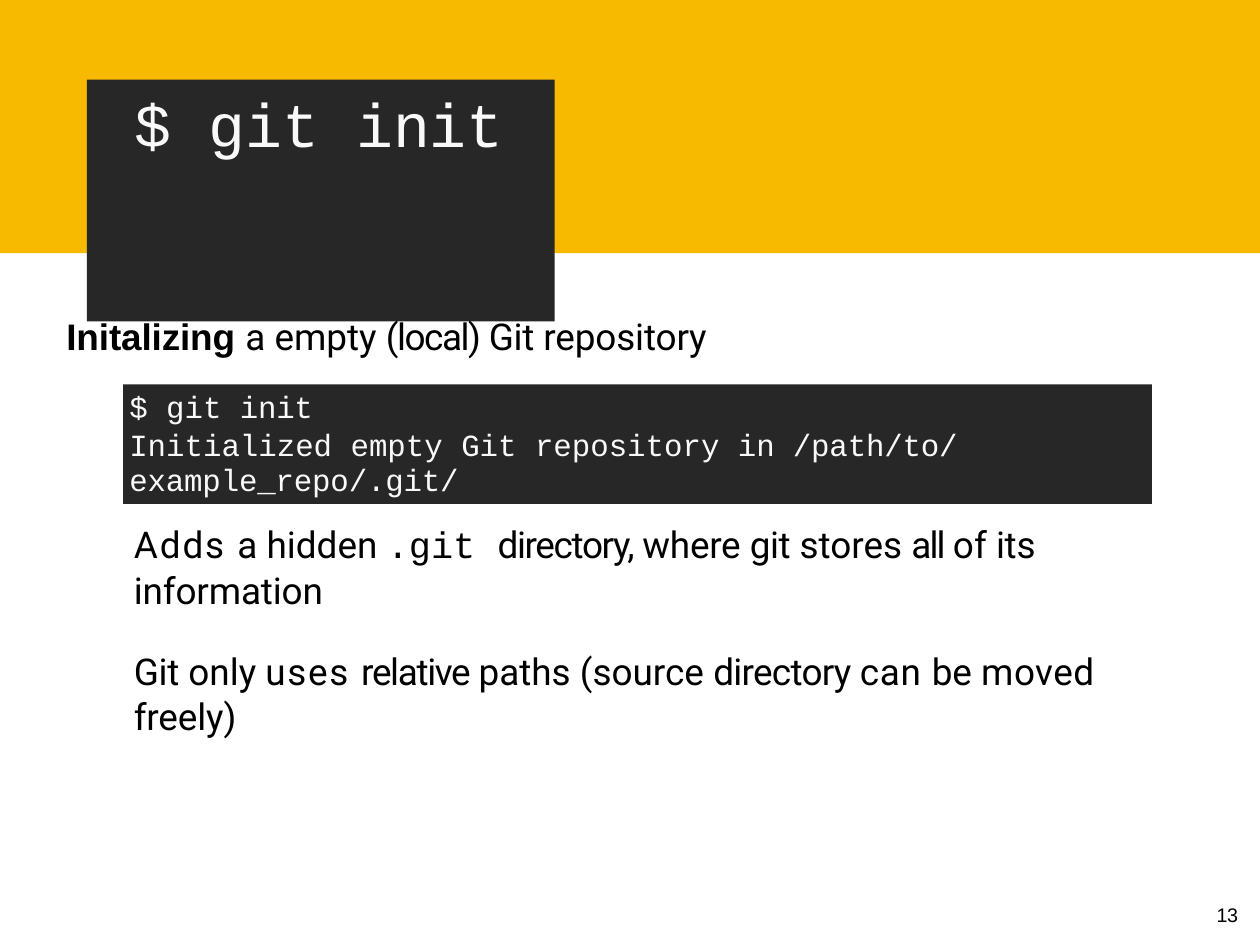
from pptx import Presentation
from pptx.dml.color import RGBColor
from pptx.enum.shapes import MSO_SHAPE as SHAPE
from pptx.enum.text import MSO_ANCHOR as ANCHOR, PP_ALIGN as ALIGN
from pptx.util import Inches, Pt

YELLOW = RGBColor(0xF8, 0xBA, 0x00)
DARK = RGBColor(0x27, 0x27, 0x27)
LIGHT = RGBColor(0xF9, 0xF9, 0xF9)
BLACK = RGBColor(0x00, 0x00, 0x00)
SANS, MONO, BODY = "Arial", "Courier New", "Roboto"

# Boxes are (left, top, width, height) in percent of the slide.
BAND = (0, 0, 100, 26.8)

# A paragraph is (space before, line spacing, runs);
# a run is (text, letter spacing in points[, own font]).
BLOCKS = [
    dict(box=(6.89, 8.43, 37.13, 25.59), fill=DARK, color=LIGHT, font=MONO,
         size=50, inset=(0.54, 0.07), paragraphs=[
             (5, None, [("$ git ", 0), ("init", -0.2)])]),
    dict(box=(96.27, 95.5, 2.39, 2.72), color=BLACK, font=SANS,
         size=16, inset=(0.04, 0.01), paragraphs=[
             (0.5, None, [("13", -0.2)])]),
    dict(box=(9.77, 40.67, 81.65, 12.65), fill=DARK, color=LIGHT, font=MONO,
         size=25, inset=(0.07, 0.05), paragraphs=[
             (3.5, Pt(29.5), [("$ git ", 0), ("init", -0.2)]),
             (1.3, Pt(29), [("Initialized empty Git repository in ", 0),
                            ("/path/to/ example_repo/.git/", -0.1)])]),
    dict(box=(5.2, 33.08, 51.97, 4.97), color=BLACK, font=BODY,
         size=30, inset=(0.01, 0.01), paragraphs=[
             (1, None, [("Initalizing ", -0.1, SANS), ("a empty ", 0),
                        ("(local) ", -1.2), ("Git ", -0.2),
                        ("repository", -0.1)])]),
    dict(box=(10.55, 55.11, 77.71, 23.06), color=BLACK, font=BODY,
         size=30, inset=(0.01, 0), paragraphs=[
             (0, 1.03, [("Adds ", 1.6), ("a hidden ", 0), (".git ", 0, MONO),
                        ("directory, ", -1.1), ("where ", -0.2),
                        ("git ", -0.3), ("stores ", 0), ("all ", -1.5),
                        ("of ", 0), ("its ", -0.2), ("information", -0.1)]),
             (30, None, [("Git ", -0.2), ("only ", 0), ("uses ", 1.4),
                         ("relative ", -1.1), ("paths (source ", 0),
                         ("directory ", -0.6), ("can ", 0.6), ("be ", 0),
                         ("moved ", 0.4), ("freely)", -0.1)])]),
]

prs = Presentation()
prs.slide_width, prs.slide_height = Inches(14.22), Inches(10.67)
s = prs.slides.add_slide(prs.slide_layouts[6])


def place(box):
    """Turn percentages of the slide into lengths."""
    sides = (prs.slide_width, prs.slide_height) * 2
    return [round(share * side / 100) for share, side in zip(box, sides)]


def add_rect(box, fill):
    sp = s.shapes.add_shape(SHAPE.RECTANGLE, *place(box))
    sp.shadow.inherit = False
    sp.fill.solid()
    sp.fill.fore_color.rgb = fill
    sp.line.fill.background()
    return sp


def add_run(p, text, spacing, font=None):
    r = p.add_run()
    r.text = text
    if font:
        r.font.name = font
        r.font.bold = font == SANS
    if spacing:
        r._r.get_or_add_rPr().set("spc", str(round(spacing * 100)))


def add_block(box, color, font, size, inset, paragraphs, fill=None):
    sp = add_rect(box, fill) if fill else s.shapes.add_textbox(*place(box))
    tf = sp.text_frame
    tf.word_wrap = True
    tf.vertical_anchor = ANCHOR.TOP
    tf.margin_left, tf.margin_top = map(Inches, inset)
    tf.margin_right = tf.margin_bottom = 0
    for i, (before, line_spacing, runs) in enumerate(paragraphs):
        p = tf.add_paragraph() if i else tf.paragraphs[0]
        p.alignment = ALIGN.LEFT
        p.space_before = Pt(before)
        p.line_spacing = line_spacing
        p.font.name, p.font.size = font, Pt(size)
        p.font.color.rgb = color
        for run in runs:
            add_run(p, *run)


add_rect(BAND, YELLOW)
for block in BLOCKS:
    add_block(**block)

prs.save("out.pptx")
